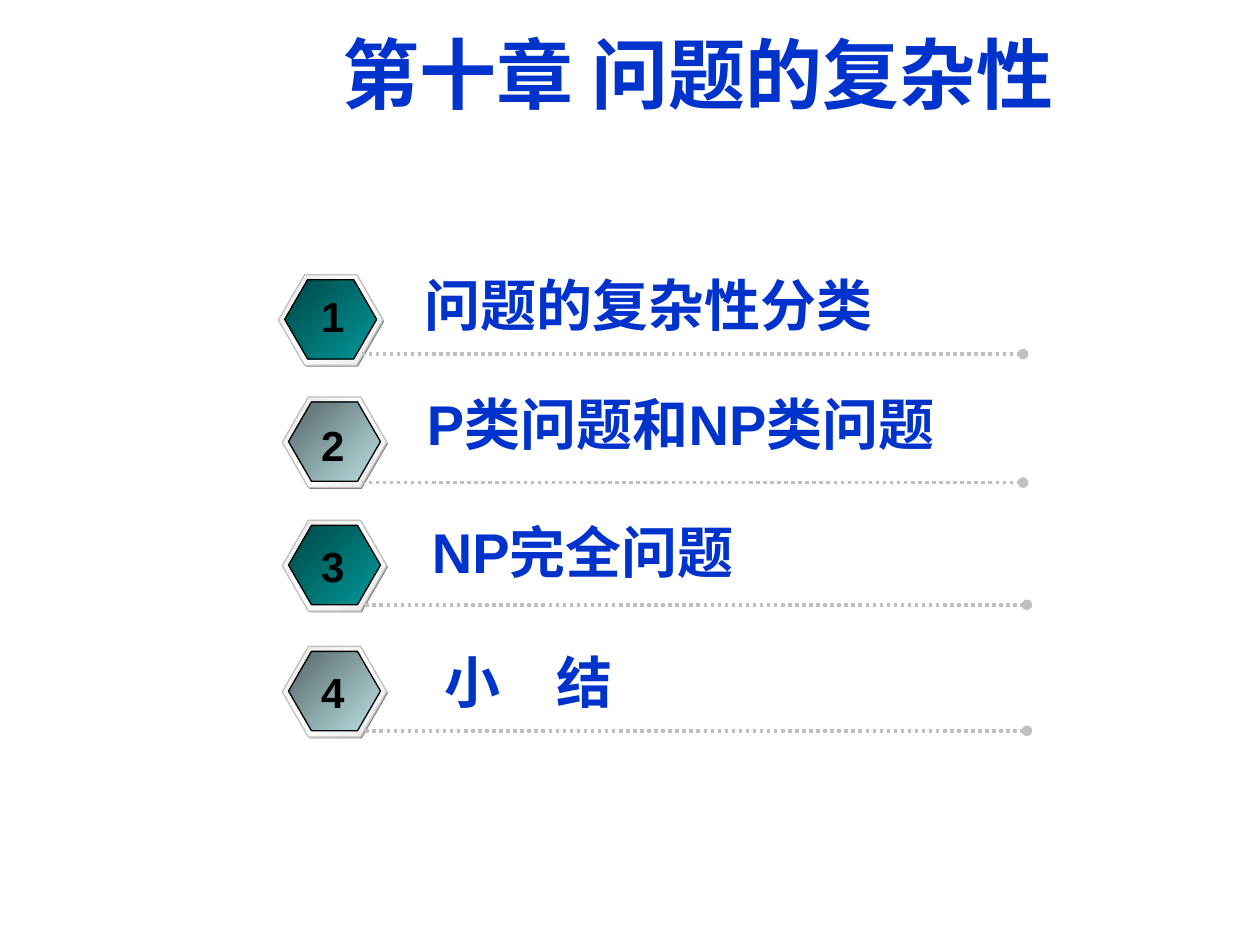
from copy import deepcopy
from dataclasses import dataclass

from lxml import etree
from pptx import Presentation
from pptx.dml.color import RGBColor
from pptx.enum import dml, shapes, text
from pptx.oxml.ns import qn
from pptx.util import Inches, Pt

BLUE = RGBColor(0x00, 0x33, 0xCC)
BLACK = RGBColor(0x00, 0x00, 0x00)
WHITE = RGBColor(0xFF, 0xFF, 0xFF)
SHADE = RGBColor(0x80, 0x80, 0x80)
SILVER = RGBColor(0xC0, 0xC0, 0xC0)
PALE = RGBColor(0xE6, 0xE6, 0xE6)
TEAL = (RGBColor(0x00, 0x99, 0x99), RGBColor(0x00, 0x46, 0x46))
MIST = (RGBColor(0xBB, 0xE0, 0xE3), RGBColor(0x56, 0x67, 0x68))
RIM = (PALE, WHITE, PALE)

CJK_FONT = "Noto Sans CJK SC"
BADGE_SIZE = (0.83, 0.72)
FACE_SIZE = (0.73, 0.63)
RULE_LENGTH = 5.25


@dataclass
class Item:
    label: str
    label_left: float
    label_top: float
    label_width: float
    badge_left: float
    badge_top: float
    number_top: float
    rule_left: float
    rule_top: float
    face: tuple


ITEMS = [
    Item("问题的复杂性分类", 3.27, 2.10, 4.41, 2.21, 2.18, 2.26, 2.87, 2.81, TEAL),
    Item("P类问题和NP类问题", 3.29, 3.04, 4.94, 2.24, 3.15, 3.28, 2.87, 3.83, MIST),
    Item("NP完全问题", 3.33, 4.06, 4.41, 2.24, 4.13, 4.24, 2.90, 4.80, TEAL),
    Item("小　结", 3.43, 5.09, 4.41, 2.24, 5.13, 5.24, 2.90, 5.80, MIST),
]


def add_text(s, content: str, box: tuple, size: int, color: RGBColor, font: str = "Arial",
             before: float = 0, wrap: bool = True, inset: tuple = (0.1, 0.05), align=None) -> None:
    tf = s.shapes.add_textbox(*map(Inches, box)).text_frame
    across, down = map(Inches, inset)
    frame_format = {
        "word_wrap": wrap, "auto_size": text.MSO_AUTO_SIZE.SHAPE_TO_FIT_TEXT,
        "margin_left": across, "margin_right": across,
        "margin_top": down, "margin_bottom": down,
    }
    for name, value in frame_format.items():
        setattr(tf, name, value)
    p = tf.paragraphs[0]
    p.alignment = align
    p.space_before = Pt(before)
    r = p.add_run()
    r.text = content
    for name, value in {"size": Pt(size), "bold": True, "name": font}.items():
        setattr(r.font, name, value)
    r.font.color.rgb = color
    east_asian = etree.SubElement(r.font._element, qn("a:ea"))
    east_asian.set("typeface", CJK_FONT)


def fill_gradient(sp, colors: tuple) -> None:
    """Spread the colours evenly from the lower right to the upper left."""
    sp.fill.gradient()
    sp.fill.gradient_angle = 135
    stop_list = next(sp._element.iter(qn("a:gsLst")))
    for _ in colors[2:]:
        stop_list.append(deepcopy(stop_list[-1]))
    for i, (stop, color) in enumerate(zip(sp.fill.gradient_stops, colors)):
        stop.color.rgb = color
        stop.position = i / (len(colors) - 1)


def add_hexagon(group, left: float, top: float, size: tuple, colors: tuple,
                outline: RGBColor | None = None) -> None:
    sp = group.shapes.add_shape(shapes.MSO_SHAPE.HEXAGON, *map(Inches, (left, top, *size)))
    sp.shadow.inherit = False
    sp.adjustments[0] = 0.289
    if len(colors) == 1:
        sp.fill.solid()
        sp.fill.fore_color.rgb = colors[0]
    else:
        fill_gradient(sp, colors)
    if outline is None:
        sp.line.fill.background()
    else:
        sp.line.color.rgb = outline
        sp.line.width = Pt(0.75)


def add_badge(s, item: Item) -> None:
    group = s.shapes.add_group_shape()
    left, top = item.badge_left, item.badge_top
    add_hexagon(group, left + 0.01, top + 0.01, BADGE_SIZE, (SHADE,))
    add_hexagon(group, left, top, BADGE_SIZE, RIM, SILVER)
    add_hexagon(group, left + 0.05, top + 0.04, FACE_SIZE, item.face, BLACK)


def add_rule(s, left: float, top: float) -> None:
    """Draw a dotted line that ends in a round dot."""
    rule = s.shapes.add_connector(shapes.MSO_CONNECTOR.STRAIGHT, Inches(left), Inches(top),
                                  Inches(left + RULE_LENGTH), Inches(top))
    rule.line.color.rgb = SILVER
    rule.line.width = Pt(2)
    rule.line.dash_style = dml.MSO_LINE.ROUND_DOT
    sp_pr = rule._element.spPr
    etree.SubElement(sp_pr.find(qn("a:ln")), qn("a:tailEnd")).set("type", "oval")
    etree.SubElement(sp_pr, qn("a:effectLst"))


def main() -> None:
    prs = Presentation()
    prs.slide_width, prs.slide_height = Inches(10), Inches(7.5)
    s = prs.slides.add_slide(prs.slide_layouts[6])
    add_text(s, "第十章 问题的复杂性", (2.72, 0.21, 6.69, 0.73), 44, BLUE,
             font=CJK_FONT, before=27.5, inset=(0, 0))
    for number, item in enumerate(ITEMS, start=1):
        add_badge(s, item)
        add_rule(s, item.rule_left, item.rule_top)
        add_text(s, str(number), (2.45, item.number_top, 0.38, 0.5), 24, BLACK,
                 wrap=False, align=text.PP_ALIGN.CENTER)
        add_text(s, item.label, (item.label_left, item.label_top, item.label_width, 0.64),
                 32, BLUE, before=20)
    prs.save("out.pptx")


if __name__ == "__main__":
    main()
